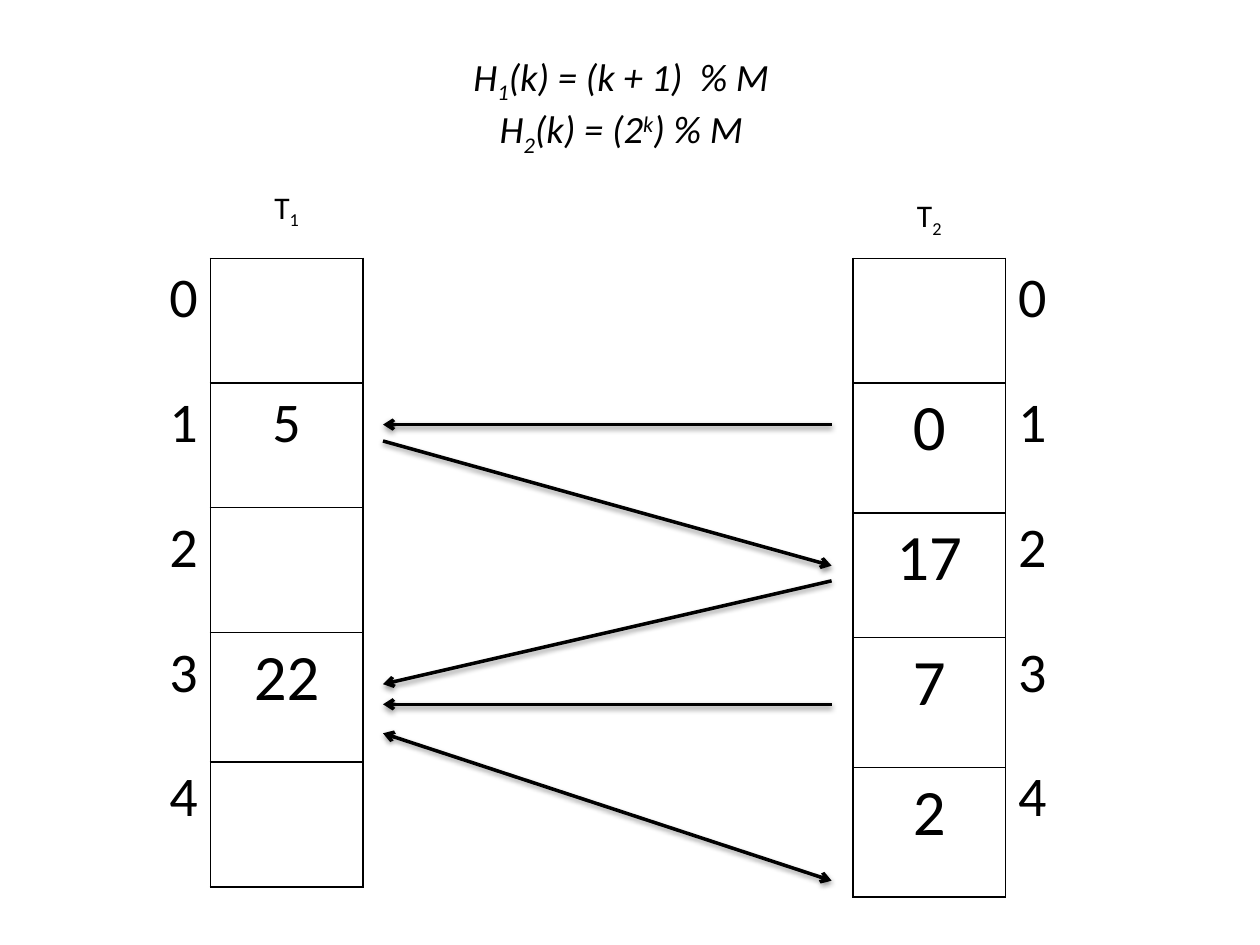
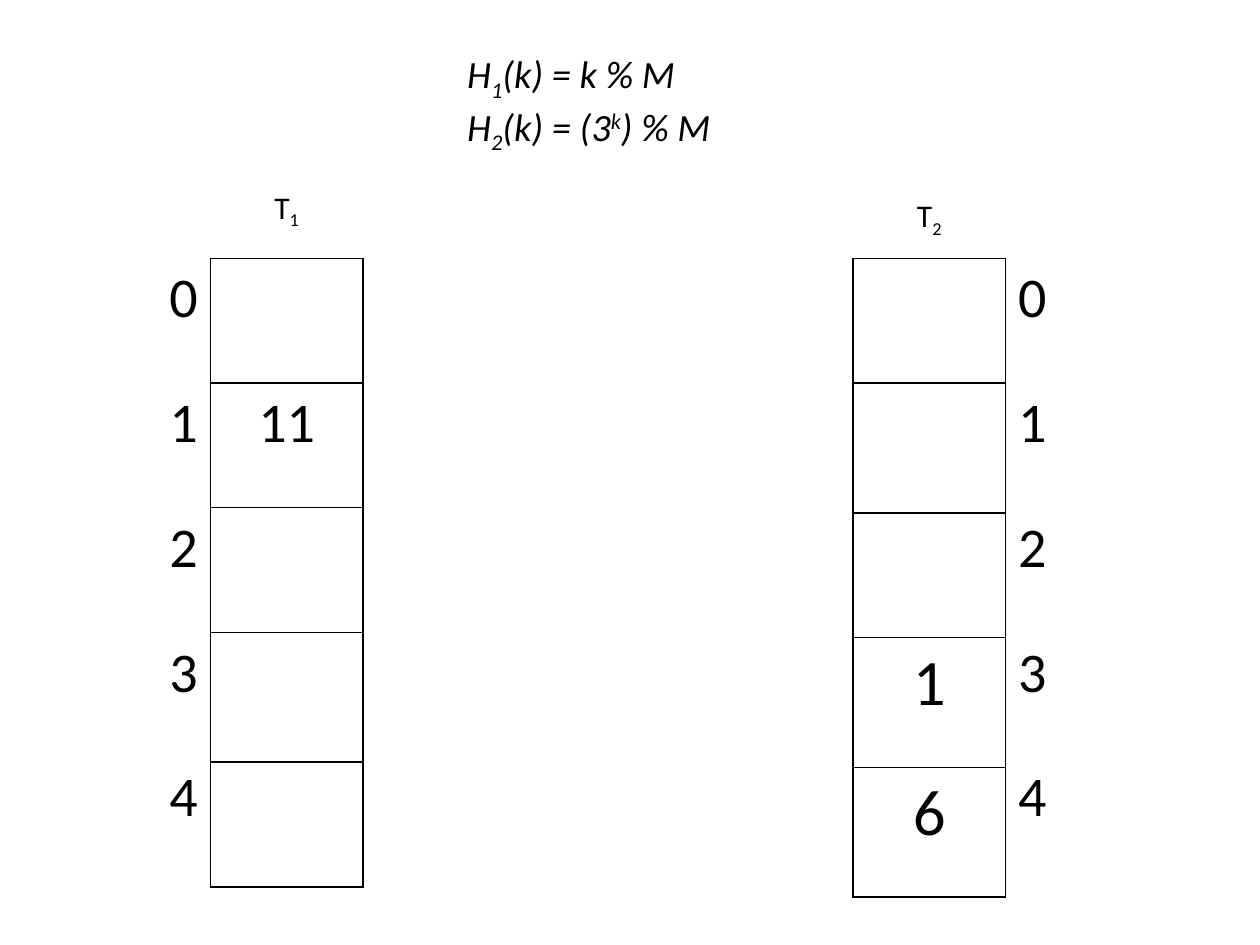
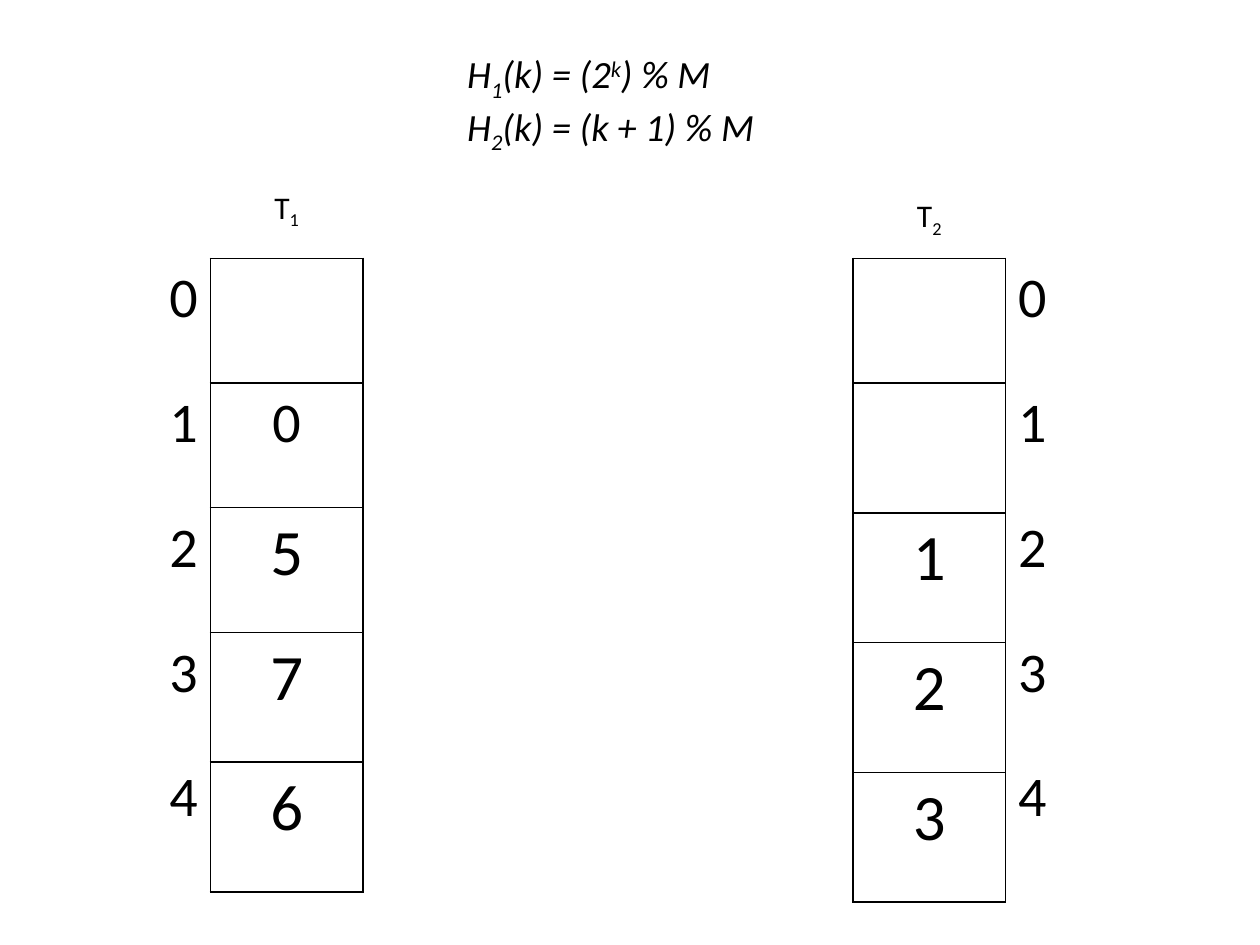
from lxml import etree
from pptx import Presentation, util as u
from pptx.dml.color import RGBColor
from pptx.enum import shapes, text
from pptx.oxml import parse_xml
from pptx.oxml.ns import nsdecls, qn

BLACK = RGBColor(0, 0, 0)
FONT = "Calibri"
COLUMN, ROW, TALL = 1.21, 0.99, 1.03
TOP = 2.05
LEFT_LABELS, SECOND_TABLE = 0.46, 6.77
FIRST_TABLE = LEFT_LABELS + COLUMN
RIGHT_LABELS = SECOND_TABLE + COLUMN
ARROW_LEFT, ARROW_RIGHT = 3.04, 6.6
BASELINES = {"_": "-25000", "^": "30000"}
INDEXES = ["0", "1", "2", "3", "4"]
CENTER, LEFT, RIGHT = text.PP_ALIGN.CENTER, text.PP_ALIGN.LEFT, text.PP_ALIGN.RIGHT
SHADOW = (
    f'<a:effectLst {nsdecls("a")}><a:outerShdw blurRad="39370" dist="20320" dir="5400000" rotWithShape="0">'
    '<a:srgbClr val="000000"><a:alpha val="38000"/></a:srgbClr></a:outerShdw></a:effectLst>'
)


def add_formula(slide, box, lines, size, alignment, italic=False):
    frame = slide.shapes.add_textbox(*map(u.Inches, box)).text_frame
    frame.word_wrap = True
    frame.auto_size = text.MSO_AUTO_SIZE.SHAPE_TO_FIT_TEXT
    for number, line in enumerate(lines):
        paragraph = frame.add_paragraph() if number else frame.paragraphs[0]
        paragraph.alignment = alignment
        pieces = line.replace("_", "|_").replace("^", "|^").split("|")
        for piece in pieces:
            parts = [(piece[1], BASELINES[piece[0]]), (piece[2:], None)] if piece[0] in BASELINES else [(piece, None)]
            for words, baseline in parts:
                if words:
                    run = paragraph.add_run()
                    run.text = words
                    run.font.name, run.font.size = FONT, u.Pt(size)
                    run.font.italic = italic
                    run.font.color.rgb = BLACK
                    if baseline:
                        run.font._element.set("baseline", baseline)


def add_column(slide, left, values, heights, sizes, alignment, bordered):
    frame = slide.shapes.add_table(
        len(values), 1, u.Inches(left), u.Inches(TOP), u.Inches(COLUMN), u.Inches(sum(heights)))
    table = frame.table
    table.first_row = table.horz_banding = False
    for row, value, height, size in zip(table.rows, values, heights, sizes):
        row.height = u.Inches(height)
        cell = row.cells[0]
        properties = cell._tc.get_or_add_tcPr()
        for side in ("a:lnL", "a:lnR", "a:lnT", "a:lnB"):
            border = etree.SubElement(properties, qn(side), w="12700")
            if bordered:
                fill = etree.SubElement(border, qn("a:solidFill"))
                etree.SubElement(fill, qn("a:srgbClr"), val=str(BLACK))
            else:
                etree.SubElement(border, qn("a:noFill"))
        cell.fill.background()
        if value:
            paragraph = cell.text_frame.paragraphs[0]
            paragraph.text = value
            paragraph.alignment = alignment
            font = paragraph.runs[0].font
            font.name, font.size = FONT, u.Pt(size)
            font.color.rgb = BLACK


presentation = Presentation()
presentation.slide_width, presentation.slide_height = u.Inches(10), u.Inches(7.5)

first_rows = [ROW, ROW, ROW, TALL, ROW]
second_rows = [ROW, TALL, ROW, TALL, TALL]
hash_slides = [
    (["H_1(k) = (k + 1)  % M", "H_2(k) = (2^k) % M"], (3.61, 0.37, 2.64, 0.84), CENTER,
     ["", "5", "", "22", ""], first_rows, ["", "0", "17", "7", "2"], second_rows),
    (["H_1(k) = k % M", "H_2(k) = (3^k) % M"], (3.61, 0.35, 3.5, 0.84), LEFT,
     ["", "11", "", "", ""], first_rows, ["", "", "", "1", "6"], second_rows),
    (["H_1(k) = (2^k) % M", "H_2(k) = (k + 1) % M"], (3.61, 0.35, 3.5, 0.84), LEFT,
     ["", "0", "5", "7", "6"], [ROW] * 3 + [TALL] * 2, ["", "", "1", "2", "3"], [ROW] + [TALL] * 4),
]

for formulas, box, alignment, first_keys, first_heights, second_keys, second_heights in hash_slides:
    slide = presentation.slides.add_slide(presentation.slide_layouts[6])
    add_formula(slide, box, formulas, 22, alignment, italic=True)
    add_column(slide, FIRST_TABLE, first_keys, first_heights, [37, 32, 37, 37, 37], CENTER, True)
    add_column(slide, LEFT_LABELS, INDEXES, [ROW] * 5, [32] * 5, RIGHT, False)
    add_column(slide, SECOND_TABLE, second_keys, second_heights, [37] * 5, CENTER, True)
    add_column(slide, RIGHT_LABELS, INDEXES, [ROW] * 5, [32] * 5, LEFT, False)
    add_formula(slide, (FIRST_TABLE, 1.44, COLUMN, 0.4), ["T_1"], 18, CENTER)
    add_formula(slide, (SECOND_TABLE, 1.51, COLUMN, 0.4), ["T_2"], 18, CENTER)

moves = [
    (ARROW_LEFT, 3.5, ARROW_RIGHT, 4.49, ["a:tailEnd"]),
    (ARROW_RIGHT, 3.37, ARROW_LEFT, 3.37, ["a:tailEnd"]),
    (ARROW_RIGHT, 4.61, ARROW_LEFT, 5.43, ["a:tailEnd"]),
    (ARROW_RIGHT, 6.99, ARROW_LEFT, 5.82, ["a:headEnd", "a:tailEnd"]),
    (ARROW_RIGHT, 5.59, ARROW_LEFT, 5.59, ["a:tailEnd"]),
]
for *ends, arrowheads in moves:
    arrow = presentation.slides[0].shapes.add_connector(shapes.MSO_CONNECTOR.STRAIGHT, *map(u.Inches, ends))
    arrow.line.color.rgb = BLACK
    arrow.line.width = u.Pt(2)
    for arrowhead in arrowheads:
        etree.SubElement(arrow.line._get_or_add_ln(), qn(arrowhead), type="arrow")
    arrow._element.spPr.append(parse_xml(SHADOW))

presentation.save("out.pptx")
